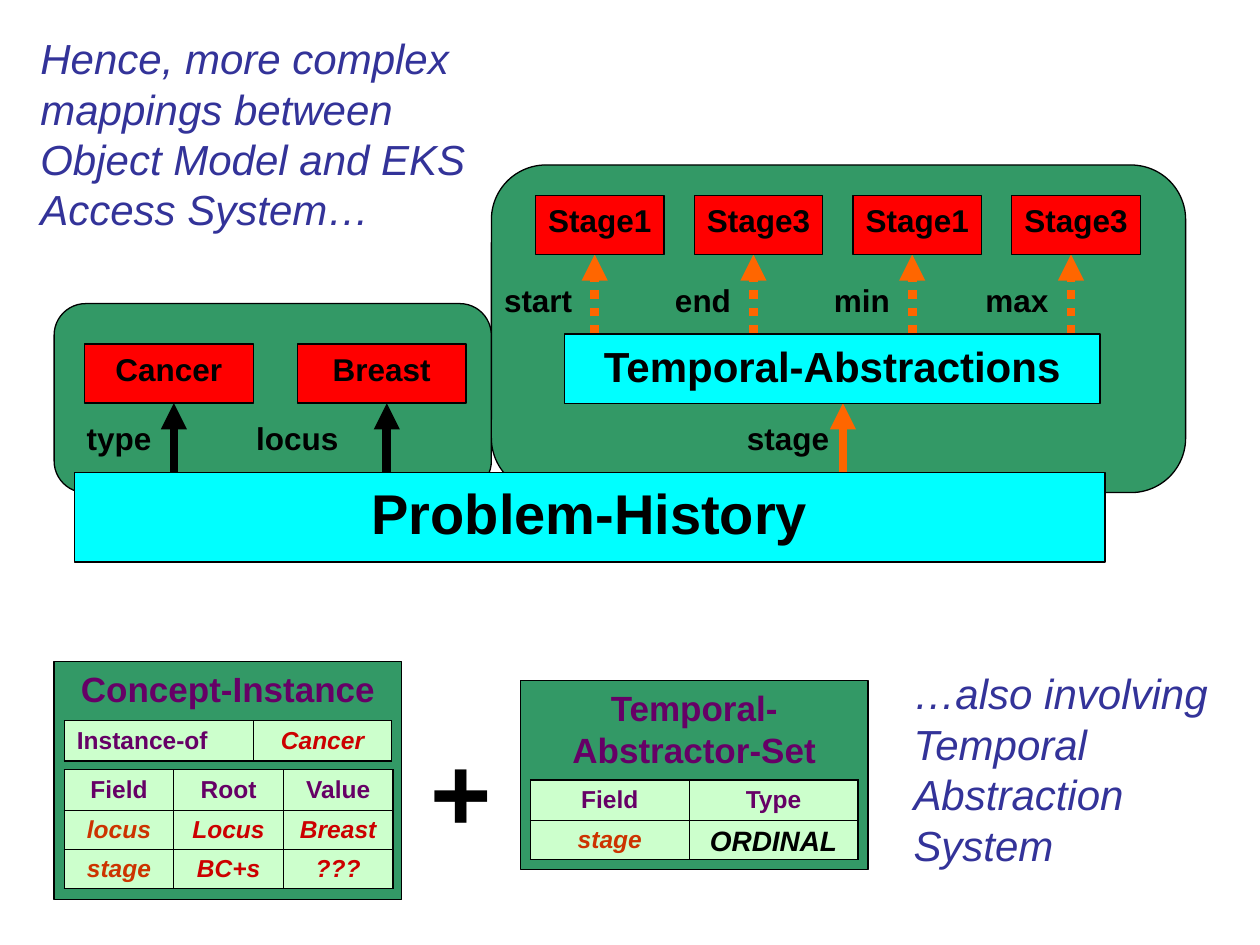
from lxml import etree
from pptx import Presentation
from pptx.dml.color import RGBColor
from pptx.enum.dml import MSO_LINE
from pptx.enum.shapes import MSO_CONNECTOR, MSO_SHAPE
from pptx.enum.text import MSO_ANCHOR, MSO_AUTO_SIZE, PP_ALIGN
from pptx.oxml import parse_xml
from pptx.oxml.ns import nsdecls, qn
from pptx.util import Inches, Pt

RECTANGLE, ROUNDED = MSO_SHAPE.RECTANGLE, MSO_SHAPE.ROUNDED_RECTANGLE
STRAIGHT, DOTTED = MSO_CONNECTOR.STRAIGHT, MSO_LINE.ROUND_DOT
LEFT, CENTER, RIGHT = PP_ALIGN.LEFT, PP_ALIGN.CENTER, PP_ALIGN.RIGHT
TOP, FIXED = MSO_ANCHOR.TOP, MSO_AUTO_SIZE.NONE

BLACK = RGBColor(0x00, 0x00, 0x00)
GREEN = RGBColor(0x33, 0x99, 0x66)
MINT = RGBColor(0xCC, 0xFF, 0xCC)
CYAN = RGBColor(0x00, 0xFF, 0xFF)
RED = RGBColor(0xFF, 0x00, 0x00)
ORANGE = RGBColor(0xFF, 0x66, 0x00)
PURPLE = RGBColor(0x66, 0x00, 0x66)
CRIMSON = RGBColor(0xCC, 0x00, 0x00)
RUST = RGBColor(0xCC, 0x33, 0x00)
INDIGO = RGBColor(0x33, 0x33, 0x99)

COLUMNS, ROWS = 100, 75
UNIT = Inches(10) / COLUMNS
CELL_HEIGHTS = (3.2, 3.1, 3.1)

HEADER = {"color": PURPLE}
FIELD = {"color": RUST, "italic": True}
VALUE = {"color": CRIMSON, "italic": True}
ORDINAL = {"italic": True, "size": 16}


def grid(*lengths):
    return [round(length * UNIT) for length in lengths]


def write(frame, text, size=18, color=BLACK, bold=True, italic=False, align=CENTER):
    frame.text = text
    para = frame.paragraphs[0]
    para.alignment = align
    para.space_before = Pt(0)
    font = para.runs[0].font
    font.name, font.size = "Arial", Pt(size)
    font.bold, font.italic = bold, italic
    font.color.rgb = color


def set_frame(frame, side=0.5):
    frame.word_wrap = True
    frame.auto_size = FIXED
    frame.vertical_anchor = TOP
    frame.margin_left, frame.margin_right = grid(side, side)
    frame.margin_top, frame.margin_bottom = grid(0.5, 0.5)


def add_box(page, place, fill, text=None, kind=RECTANGLE, side=0.5, **style):
    box = page.shapes.add_shape(kind, *grid(*place))
    box.shadow.inherit = False
    box.fill.solid()
    box.fill.fore_color.rgb = fill
    box.line.color.rgb = BLACK
    box.line.width = Pt(0.75)
    if text:
        set_frame(box.text_frame, side)
        write(box.text_frame, text, **style)


def add_label(page, place, text, **style):
    label = page.shapes.add_textbox(*grid(*place))
    set_frame(label.text_frame, side=1)
    write(label.text_frame, text, **style)


def add_arrow(page, column, bottom, top, color, dash=None):
    arrow = page.shapes.add_connector(STRAIGHT, *grid(column, bottom, column, top))
    arrow.line.color.rgb = color
    arrow.line.width = Pt(5)
    if dash:
        arrow.line.dash_style = dash
    etree.SubElement(arrow.line._get_or_add_ln(), qn("a:tailEnd"), type="triangle")
    etree.SubElement(arrow._element.spPr, qn("a:effectLst"))


def add_borders(cell):
    properties = cell._tc.get_or_add_tcPr()
    for side in "LRTB":
        properties.append(parse_xml(
            f'<a:ln{side} {nsdecls("a")} w="9525"><a:solidFill>'
            f'<a:srgbClr val="{BLACK}"/></a:solidFill></a:ln{side}>'))


def add_grid_table(page, left, top, widths, rows):
    heights = CELL_HEIGHTS[:len(rows)]
    place = grid(left, top, sum(widths), sum(heights))
    table = page.shapes.add_table(len(rows), len(widths), *place).table
    for column, width in zip(table.columns, grid(*widths)):
        column.width = width
    for row, height, entries in zip(table.rows, grid(*heights), rows):
        row.height = height
        for cell, (text, style) in zip(row.cells, entries):
            add_borders(cell)
            cell.fill.solid()
            cell.fill.fore_color.rgb = MINT
            cell.margin_left, cell.margin_right = grid(1, 1)
            cell.margin_top, cell.margin_bottom = grid(0.5, 0)
            cell.vertical_anchor = TOP
            write(cell.text_frame, text, **{"size": 14, **style})


def fill_placeholder(holder, place, text):
    holder.left, holder.top, holder.width, holder.height = grid(*place)
    set_frame(holder.text_frame)
    write(holder.text_frame, text, size=24, color=INDIGO, bold=False,
          italic=True, align=LEFT)
    properties = holder.text_frame.paragraphs[0]._p.get_or_add_pPr()
    properties.set("marL", "0")
    properties.set("indent", "0")
    etree.SubElement(properties, qn("a:buNone"))


def add_concept(page, left, text, label, label_left, label_width):
    add_label(page, (label_left, 32.8, label_width, 4), label)
    add_arrow(page, left + 7.1, 37.5, 32, BLACK)
    add_box(page, (left, 27.3, 13.4, 4.7), RED, text)


def add_stage(page, left, text, label):
    add_label(page, (left - 4, 21.8, 7.9, 4), label, align=RIGHT)
    add_arrow(page, left + 4.7, 26.5, 20.2, ORANGE, DOTTED)
    add_box(page, (left, 15.5, 10.2, 4.7), RED, text)


def add_history(page):
    add_box(page, (39, 13.1, 55.1, 26), GREEN, kind=ROUNDED)
    add_box(page, (4.3, 24.1, 34.7, 15), GREEN, kind=ROUNDED)
    add_concept(page, 6.7, "Cancer", "type", 5.1, 8.7)
    add_concept(page, 23.6, "Breast", "locus", 18.9, 9.4)
    stages = [("Stage1", "start"), ("Stage3", "end"), ("Stage1", "min"), ("Stage3", "max")]
    for index, (text, label) in enumerate(stages):
        add_stage(page, 42.5 + 12.6 * index, text, label)
    add_label(page, (58.2, 32.8, 8.7, 4), "stage")
    add_arrow(page, 66.9, 37.5, 32, ORANGE)
    add_box(page, (44.8, 26.5, 42.5, 5.5), CYAN, "Temporal-Abstractions", size=24)
    add_box(page, (5.9, 37.5, 81.8, 7.1), CYAN, "Problem-History", size=32)


def add_definitions(page):
    heading = {"side": 1, "size": 20, "color": PURPLE}
    add_box(page, (4.3, 52.5, 27.6, 18.9), GREEN, "Concept-Instance", **heading)
    add_grid_table(page, 5.1, 57.2, (15, 11), [
        [("Instance-of", {**HEADER, "align": LEFT}), ("Cancer", VALUE)]])
    add_grid_table(page, 5.1, 61.1, (8.7, 8.7, 8.7), [
        [("Field", HEADER), ("Root", HEADER), ("Value", HEADER)],
        [("locus", FIELD), ("Locus", VALUE), ("Breast", VALUE)],
        [("stage", FIELD), ("BC+s", VALUE), ("???", VALUE)]])
    add_label(page, (31.9, 57.2, 9.4, 11), "+", size=60)
    add_box(page, (41.3, 54, 27.6, 15), GREEN, "Temporal-Abstractor-Set", **heading)
    add_grid_table(page, 42.1, 61.9, (12.6, 13.4), [
        [("Field", HEADER), ("Type", HEADER)],
        [("stage", FIELD), ("ORDINAL", ORDINAL)]])


def main():
    deck = Presentation()
    deck.slide_width, deck.slide_height = grid(COLUMNS, ROWS)
    page = deck.slides.add_slide(deck.slide_layouts[1])
    title, body = page.placeholders
    fill_placeholder(title, (2.7, 2.1, 38.6, 18.1),
                     "Hence, more complex mappings between Object Model and EKS Access System…")
    fill_placeholder(body, (72, 52.5, 26, 18.1),
                     "…also involving Temporal Abstraction System")
    add_history(page)
    add_definitions(page)
    deck.save("out.pptx")


if __name__ == "__main__":
    main()
